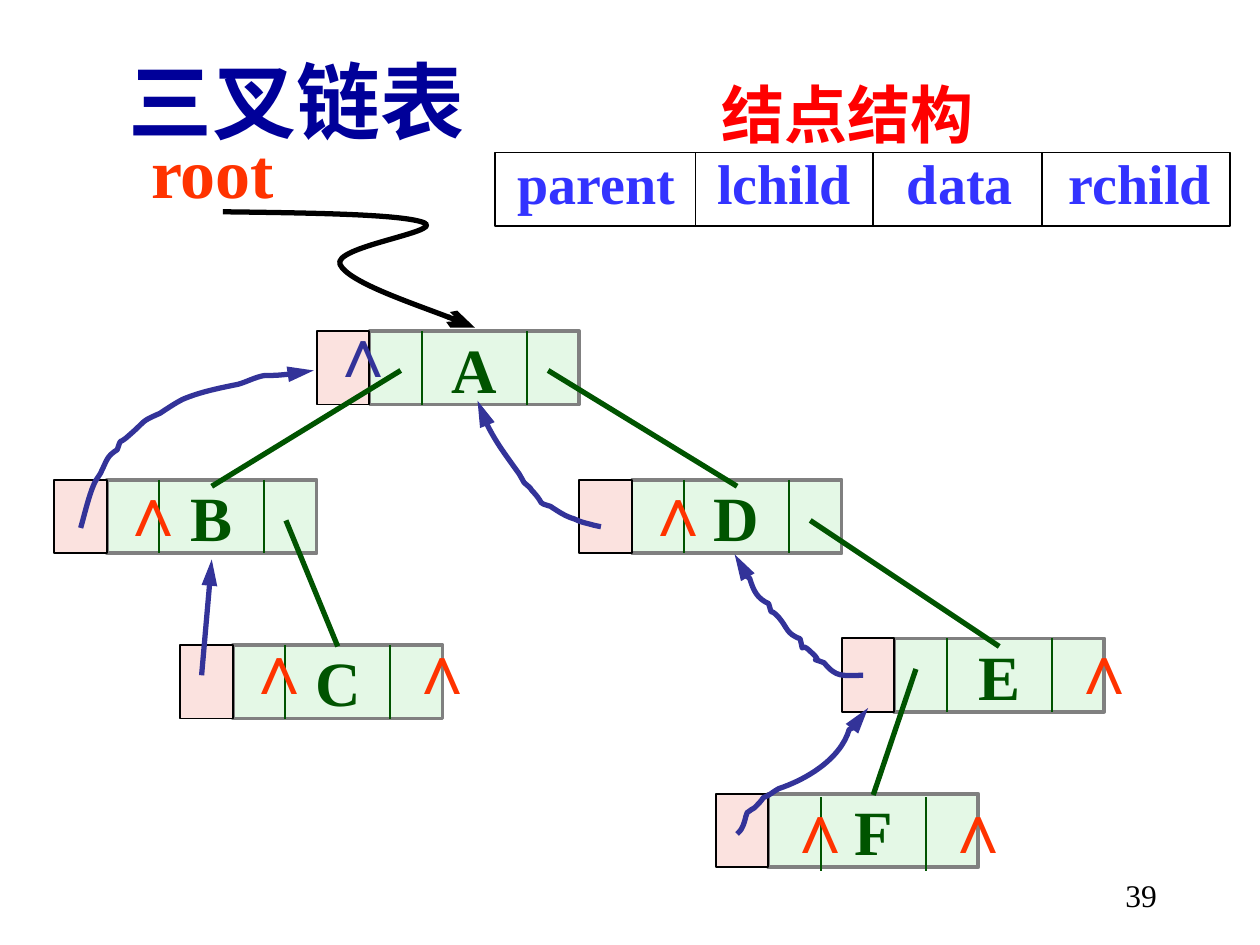
"""Draw a binary tree stored as a triple-linked list."""
from dataclasses import dataclass
from typing import Optional

from lxml import etree
from pptx import Presentation
from pptx import util as u
from pptx.dml.color import RGBColor
from pptx.enum import shapes, text
from pptx.oxml import ns

Pt = u.Pt
COLORS = {
    "mint": "CAF2CE", "pink": "FBE2DF", "green": "005400", "gray": "808080",
    "red": "FF3300", "pure": "FF0000", "navy": "000099", "blue": "3333FF",
    "indigo": "333399", "black": "000000",
}
SERIF, SANS, HAN = "Times New Roman", "Arial", "Noto Sans CJK SC"
CELL, HIGH = 30, 42
WIDE = 4 * CELL


@dataclass
class Node:
    """A tree node, placed by the corner of its parent cell."""
    name: str
    left: float
    top: float
    drop: float = 0


@dataclass
class Label:
    """A line of text in its own box."""
    words: str
    left: float
    top: float
    width: float
    height: float
    size: float
    color: str
    font: str = SERIF
    bold: bool = True
    han: Optional[str] = None
    align: Optional[text.PP_ALIGN] = None
    stops: tuple = ()


@dataclass
class Curve:
    """A chain of Bezier arcs with an arrowhead at one end."""
    points: list
    color: str = "indigo"
    end: str = "headEnd"
    kind: str = "triangle"


NODES = [
    Node("A", 181, 189.2), Node("D", 331, 274.2), Node("E", 481, 364.8),
    Node("B", 31, 274.2), Node("C", 103, 368.6), Node("F", 409, 453.6, 2),
]
NULLS = [
    (442, 444.2, "red"), (532, 444.2, "red"), (604, 353.5, "red"),
    (360.7, 262.8, "red"), (132.5, 353.5, "red"), (226, 353.5, "red"),
    (60.5, 262.8, "red"), (180.7, 172, "indigo"),
]
LINKS = [
    (229, 211.7, 121, 277.9), (313.2, 211.7, 421.2, 277.9),
    (163.4, 297.4, 193, 369.4), (463, 297.4, 571, 369.4),
    (523.4, 382.3, 499, 454.3),
]
CURVES = [
    Curve([(127.4, 121), (179.3, 121.7), (231.1, 122.4), (242.6, 127.4),
           (253.4, 132.5), (189.4, 141.1), (194.4, 151.2),
           (199.4, 161.3), (258.5, 181.4), (271.4, 187.2)],
          "black", "tailEnd", "arrow"),
    Curve([(46.1, 301.7), (48.2, 294.5), (51.8, 278.6), (55.4, 273.6),
           (56.2, 272.2), (57.6, 270.7), (58.3, 268.6),
           (61.2, 262.8), (61.2, 260.6), (67, 257),
           (69.8, 249.1), (67, 254.9), (73.4, 249.1),
           (84.2, 239.8), (79.9, 241.2), (91.4, 236.2),
           (95.8, 233.3), (100.1, 230.4), (104.4, 228.2),
           (114.5, 223.9), (125.3, 221.8), (136.1, 219.6),
           (141.1, 218.2), (146.2, 215.3), (151.2, 214.6),
           (158.4, 214.6), (165.6, 213.8), (172.1, 213.1),
           (175, 213.1), (179.3, 211.7), (179.3, 211.7)], end="tailEnd"),
    Curve([(272.9, 229), (277.2, 244.1), (287.3, 257.8), (296.6, 270.7),
           (298.1, 272.2), (298.1, 274.3), (299.5, 275.8),
           (301, 277.2), (303.1, 278.6), (303.8, 280.1),
           (312.5, 289.4), (306, 286.6), (314.6, 289.4),
           (319, 292.3), (323.3, 295.2), (328.3, 296.6),
           (331.2, 298.1), (334.1, 298.8), (337, 299.5),
           (339.1, 300.2), (343.4, 301), (343.4, 301)]),
    Curve([(419.8, 316.8), (421.9, 324), (423.4, 326.9), (428.4, 330.5),
           (430.6, 337.7), (432.7, 342), (439.2, 344.9),
           (442.1, 354.2), (438.5, 345.6), (445, 352.8),
           (450, 358.6), (449.3, 362.2), (457.2, 365),
           (460.1, 376.6), (455.8, 365), (463, 372.2),
           (473, 380.9), (459.4, 374.4), (470.9, 378.7),
           (478.1, 387.4), (481, 385.9), (493.2, 385.9)]),
    Curve([(496.1, 404.6), (489.6, 416.2), (493.2, 413.3), (485.3, 416.9),
           (480.2, 434.2), (460.1, 445.7), (445, 450.7),
           (442.1, 452.2), (439.2, 455), (436.3, 455.8),
           (434.9, 457.9), (433.4, 459.4), (431.3, 461.5),
           (430.6, 462.2), (428.4, 463), (427, 464.4),
           (426.2, 465.8), (426.2, 467.3), (425.5, 469.4),
           (424.1, 473.8), (423.4, 474.5), (421.2, 476.6)]),
]
TITLE = Label("三叉链表", 66.2, 24.5, 230, 65, 48, "navy", HAN, han=HAN,
              align=text.PP_ALIGN.LEFT)
LABELS = [
    Label("root", 79.2, 69.8, 85, 55.4, 40, "red"),
    Label("parent\tlchild\tdata\trchild", 288.7, 81.4, 412, 46, 32, "blue",
          stops=(114, 222.5, 315)),
    Label("结点结构", 405.4, 39.6, 181.4, 50.4, 36, "pure", han=HAN),
    Label("39", 518.4, 496.8, 149.8, 36, 18, "black", bold=False,
          align=text.PP_ALIGN.RIGHT),
]


def shade(name: str) -> RGBColor:
    return RGBColor.from_string(COLORS[name])


def add(parent, tag: str, **attrs):
    return etree.SubElement(parent, ns.qn(tag), attrs)


def ink(shape, color: str, width: float) -> None:
    shape.line.color.rgb = shade(color)
    shape.line.width = Pt(width)


def point(shape, end: str, kind: str) -> None:
    add(shape.line._get_or_add_ln(), f"a:{end}", type=kind, len="lg")


def write(shape, item: Label) -> None:
    frame = shape.text_frame
    frame.auto_size = text.MSO_AUTO_SIZE.NONE
    frame.word_wrap = item.align == text.PP_ALIGN.RIGHT
    frame.vertical_anchor = text.MSO_ANCHOR.TOP
    para = frame.paragraphs[0]
    if item.align is not None:
        para.alignment = item.align
    if item.stops:
        tabs = add(para._p.get_or_add_pPr(), "a:tabLst")
        for stop in item.stops:
            add(tabs, "a:tab", pos=str(Pt(stop)), algn="l")
    run = para.add_run()
    run.text = item.words
    font = run.font
    font.name, font.size, font.bold = item.font, Pt(item.size), item.bold
    font.color.rgb = shade(item.color)
    if item.han:
        add(run._r.get_or_add_rPr(), "a:ea", typeface=item.han)


def label(slide, item: Label) -> None:
    box = slide.shapes.add_textbox(
        Pt(item.left), Pt(item.top), Pt(item.width), Pt(item.height))
    write(box, item)


def rect(slide, left: float, top: float, width: float, fill: Optional[str],
         edge: str, weight: float):
    box = slide.shapes.add_shape(
        shapes.MSO_SHAPE.RECTANGLE, Pt(left), Pt(top), Pt(width), Pt(HIGH))
    if fill:
        box.fill.solid()
        box.fill.fore_color.rgb = shade(fill)
    else:
        box.fill.background()
    ink(box, edge, weight)
    box.shadow.inherit = False
    return box


def line(slide, ends: tuple, color: str, width: float):
    rule = slide.shapes.add_connector(
        shapes.MSO_CONNECTOR.STRAIGHT, *(Pt(end) for end in ends))
    ink(rule, color, width)
    add(rule._element.spPr, "a:effectLst")
    return rule


def body(slide, node: Node) -> None:
    left = node.left + CELL
    box = rect(slide, left, node.top, WIDE, "mint", "gray", 2)
    tint = box._element.spPr.find(ns.qn("a:solidFill"))[0]
    add(tint, "a:alpha", val="50000")
    write(box, Label(node.name, 0, 0, 0, 0, 36, "green",
                     align=text.PP_ALIGN.CENTER))
    box.text_frame.vertical_anchor = text.MSO_ANCHOR.MIDDLE
    top = node.top + node.drop
    for x in (left + CELL, left + 3 * CELL):
        line(slide, (x, top, x, top + HIGH), "green", 1)


def curve(slide, item: Curve) -> None:
    dots = [(Pt(x), Pt(y)) for x, y in item.points]
    pen = slide.shapes.build_freeform(*dots[0])
    pen.add_line_segments(dots[1:], close=False)
    shape = pen.convert_to_shape()
    route = shape._element.xpath(".//a:path")[0]
    steps = route.findall(ns.qn("a:lnTo"))
    for start in range(0, len(steps), 3):
        arc = add(route, "a:cubicBezTo")
        for step in steps[start:start + 3]:
            arc.append(step[0])
            route.remove(step)
    shape.fill.background()
    ink(shape, item.color, 3)
    point(shape, item.end, item.kind)
    shape.shadow.inherit = False


def main() -> None:
    deck = Presentation()
    deck.slide_width, deck.slide_height = Pt(720), Pt(540)
    slide = deck.slides.add_slide(deck.slide_layouts[5])
    head = slide.shapes.title
    head.left, head.top = Pt(TITLE.left), Pt(TITLE.top)
    head.width, head.height = Pt(TITLE.width), Pt(TITLE.height)
    write(head, TITLE)
    for node in NODES:
        body(slide, node)
    for node in NODES:
        rect(slide, node.left, node.top, CELL, "pink", "black", 1)
    for left, top, color in NULLS:
        label(slide, Label("∧", left, top, 27.4, 55.4, 40, color, SANS))
    for ends in LINKS:
        line(slide, ends, "green", 3)
    for item in CURVES:
        curve(slide, item)
    point(line(slide, (121, 319.7, 115.2, 385.9), "indigo", 3),
          "headEnd", "triangle")
    rect(slide, 283, 87.1, 419.8, None, "black", 1)
    for x in (397.4, 499, 595.4):
        line(slide, (x, 87.1, x, 87.1 + HIGH), "black", 1)
    for item in LABELS:
        label(slide, item)
    deck.save("out.pptx")


if __name__ == "__main__":
    main()
